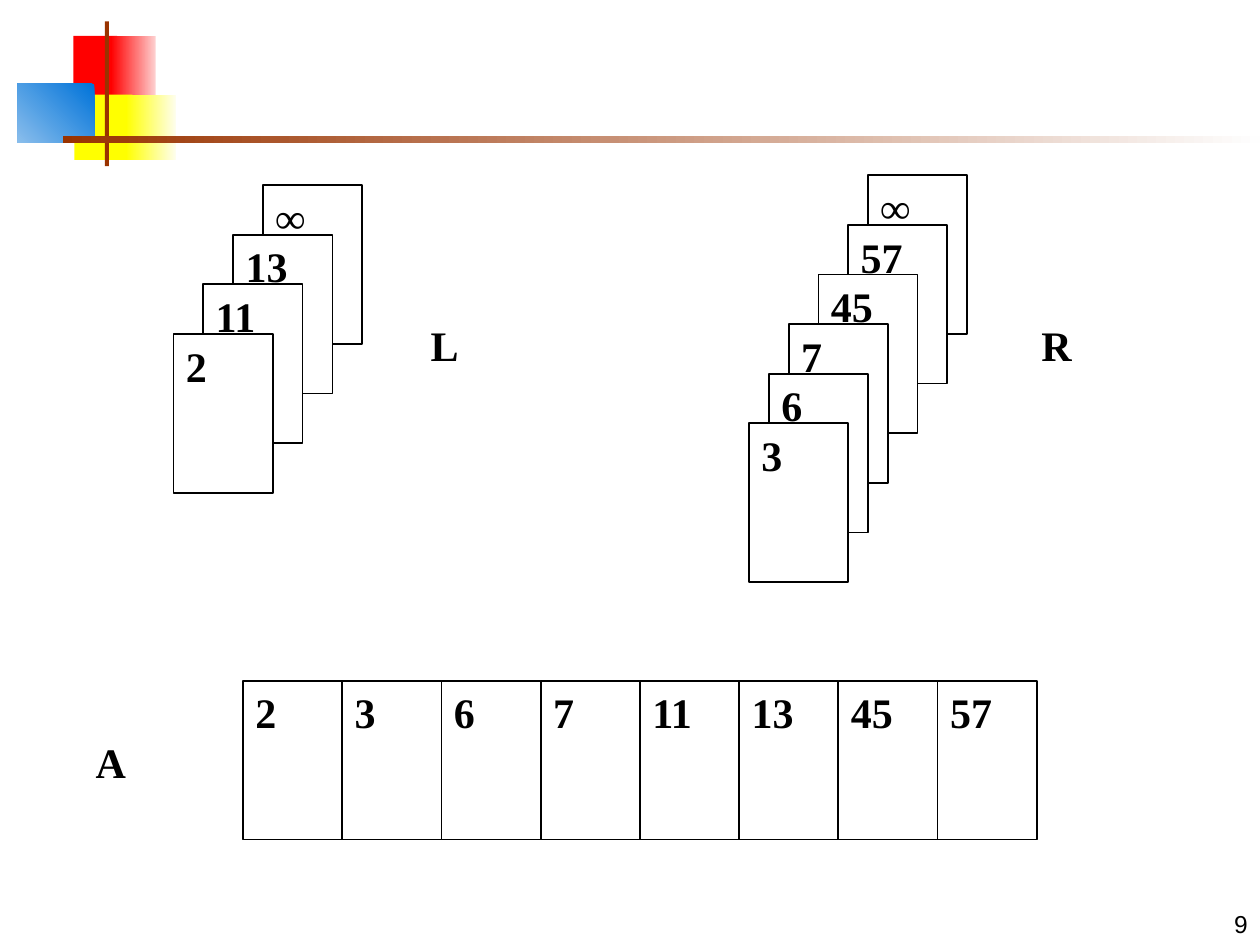
import pptx
import pptx.dml.color
import pptx.enum.shapes
import pptx.enum.text
import pptx.util

Pt = pptx.util.Pt
RGBColor = pptx.dml.color.RGBColor
ALIGN = pptx.enum.text.PP_ALIGN
ANCHOR = pptx.enum.text.MSO_ANCHOR

BLACK = RGBColor(0x00, 0x00, 0x00)
WHITE = RGBColor(0xFF, 0xFF, 0xFF)
RED = RGBColor(0xFF, 0x00, 0x00)
PALE_RED = RGBColor(0xFE, 0xD0, 0xD0)
YELLOW = RGBColor(0xFF, 0xFF, 0x00)
PALE_YELLOW = RGBColor(0xFE, 0xFE, 0xEF)
BLUE = RGBColor(0x00, 0x73, 0xD9)
PALE_BLUE = RGBColor(0x8A, 0xBE, 0xEC)
BROWN = RGBColor(0x99, 0x33, 0x00)
NEAR_WHITE = RGBColor(0xFE, 0xFE, 0xFE)

CARD_WIDTH, CARD_HEIGHT = 56.7, 90.7
STACK_RISE = 28.35  # each card shows this much above the one in front


def write(frame, text, size=24, font="Times New Roman", bold=True,
          align=ALIGN.LEFT, anchor=ANCHOR.TOP, wrap=True):
    frame.word_wrap = wrap
    frame.vertical_anchor = anchor
    paragraph = frame.paragraphs[0]
    paragraph.alignment = align
    run = paragraph.add_run()
    run.text = text
    run.font.size = Pt(size)
    run.font.name = font
    run.font.bold = bold
    run.font.color.rgb = BLACK


def add_block(slide, left, top, width, height, color, fade_from=None, angle=180):
    """Rectangle in one colour, or fading from fade_from to color."""
    block = slide.shapes.add_shape(
        pptx.enum.shapes.MSO_SHAPE.RECTANGLE,
        Pt(left), Pt(top), Pt(width), Pt(height))
    block.shadow.inherit = False
    block.line.fill.background()
    if fade_from is None:
        block.fill.solid()
        block.fill.fore_color.rgb = color
    else:
        block.fill.gradient()
        block.fill.gradient_angle = angle
        start, end = block.fill.gradient_stops
        start.color.rgb, start.position = fade_from, 0
        end.color.rgb, end.position = color, 1
    return block


def add_card(slide, left, top, value):
    card = add_block(slide, left, top, CARD_WIDTH, CARD_HEIGHT, WHITE)
    card.line.color.rgb = BLACK
    card.line.width = Pt(1)
    write(card.text_frame, value)


def add_stack(slide, top, cards):
    """Overlapping cards from back to front, each one lower than the last."""
    for index, (left, value) in enumerate(cards):
        add_card(slide, left, top + index * STACK_RISE, value)


def add_label(slide, left, top, width, text, **text_format):
    label = slide.shapes.add_textbox(Pt(left), Pt(top), Pt(width), Pt(36))
    write(label.text_frame, text, **text_format)


def add_ornament(slide):
    add_block(slide, 42, 20.5, 25, 37.2, RED)
    add_block(slide, 63.4, 20.5, 25.6, 37.2, RED, fade_from=PALE_RED)
    add_block(slide, 42.5, 54, 33.2, 37.4, YELLOW)
    add_block(slide, 72, 54, 28.8, 37.4, YELLOW, fade_from=PALE_YELLOW)
    add_block(slide, 9.9, 48, 44.1, 33.5, PALE_BLUE, fade_from=BLUE, angle=225)
    add_block(slide, 59.9, 12.2, 2.4, 82.8, BROWN)
    add_block(slide, 36, 77.9, 684, 3.7, BROWN, fade_from=NEAR_WHITE)


def main():
    deck = pptx.Presentation()
    deck.slide_width, deck.slide_height = Pt(720), Pt(540)
    slide = deck.slides.add_slide(deck.slide_layouts[6])

    add_ornament(slide)

    # Sorted halves, each ending in a sentinel
    add_stack(slide, 105.8, [(150.3, "∞"), (133.3, "13"), (116.2, "11"), (99.2, "2")])
    add_stack(slide, 100.2, [(496, "∞"), (484.7, "57"), (467.7, "45"),
                             (450.7, "7"), (439.4, "6"), (428, "3")])

    # Merged array
    for index, value in enumerate(["2", "3", "6", "7", "11", "13", "45", "57"]):
        add_card(slide, 138.9 + index * CARD_WIDTH, 389, value)

    # Names of the arrays
    for left, top, width, name in [(239, 179.3, 30.2, "L"), (586.8, 179.3, 33.8, "R"),
                                   (47.5, 417.6, 31.7, "A")]:
        add_label(slide, left, top, width, name, align=ALIGN.CENTER, wrap=False)

    # Slide number
    add_label(slide, 570.2, 504, 149.8, "9", size=14, font="Arial", bold=False,
              align=ALIGN.RIGHT, anchor=ANCHOR.BOTTOM)

    deck.save("out.pptx")


if __name__ == "__main__":
    main()
